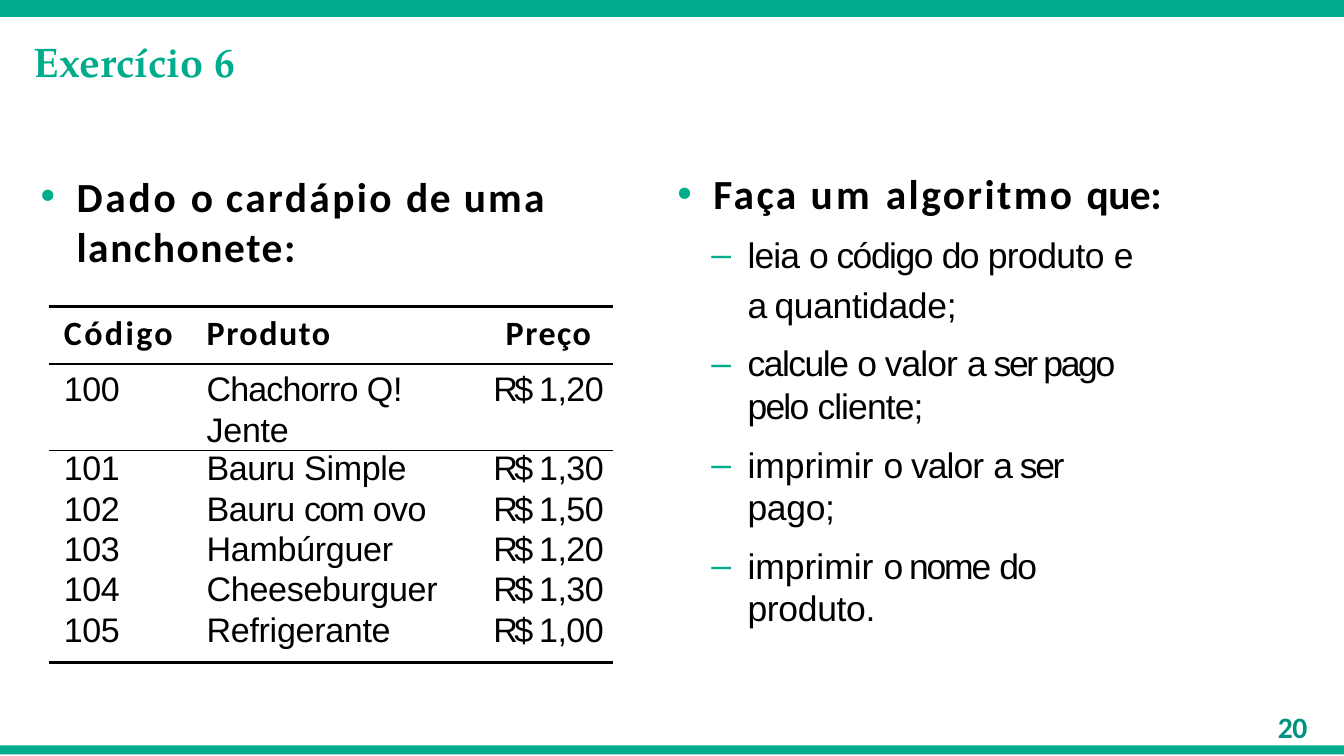
from dataclasses import dataclass
from typing import NamedTuple

from lxml import etree
from pptx import Presentation
from pptx.dml.color import RGBColor
from pptx.enum.shapes import MSO_SHAPE
from pptx.enum.text import PP_ALIGN
from pptx.oxml.ns import qn
from pptx.util import Inches, Pt

LEFT, CENTER = PP_ALIGN.LEFT, PP_ALIGN.CENTER
RECTANGLE = MSO_SHAPE.RECTANGLE
COLORS = {"green": "00AC8C", "dark green": "009380", "black": "000000"}
HEADING, BODY, TITLE = "Calibri", "Arial", "TeX Gyre Pagella"
NO_STYLE = "{2D5ABB26-0587-4C30-8999-92F81FD0307C}"
WIDTH, HEIGHT = Inches(6.31), Inches(3.55)


def cols(share: float) -> int:
    """Percent of the slide's width."""
    return round(WIDTH * share / 100)


def rows(share: float) -> int:
    """Percent of the slide's height."""
    return round(HEIGHT * share / 100)


class Area(NamedTuple):
    """Left, top, width and height in percent of the slide."""
    x: float
    y: float
    w: float
    h: float

    def emu(self) -> tuple:
        return cols(self.x), rows(self.y), cols(self.w), rows(self.h)


class Run(NamedTuple):
    text: str
    tracking: float = 0


@dataclass
class Product:
    code: str
    name: list
    price: str


@dataclass
class Task:
    runs: list
    before: float = 5.3
    spacing: float = 1.0


BANDS = [Area(0, 0, 100, 2.25), Area(0, 98.6, 100, 1.2)]
MENU_AREA = Area(3.65, 40.56, 42, 42.25)
MENU_COLS = [10.62, 21.71, 9.67]
MENU_ROWS = [7.6, 6.48] + [5.35] * 4 + [6.76]
MENU_HEADS = [Run("Código", 0.8), Run("Produto", 0.5), Run("Preço", 0.5)]
RULES = {0: (1, 0.75), 1: (0.75, 0.25), 2: (0.25, 0), 6: (0, 1)}

PROMPT = [Run("Dado ", 0.9), Run("o ", 0.6), Run("cardápio ", 0.8), Run("de ", 0.6),
          Run("uma ", 0.7), Run("lanchonete:", 0.5)]
GOAL = [Run("Faça ", 0.8), Run("um ", 1.1), Run("algoritmo ", 0.8), Run("que:", -0.2)]
MENU = [
    Product("100", [Run("Chachorro ", -0.3), Run("Q!Jente", -0.1)], "1,20"),
    Product("101", [Run("Bauru ", -0.2), Run("Simple", -0.1)], "1,30"),
    Product("102", [Run("Bauru ", -0.2), Run("com ", -0.6), Run("ovo", -0.2)], "1,50"),
    Product("103", [Run("Hambúrguer", -0.1)], "1,20"),
    Product("104", [Run("Cheeseburguer", -0.1)], "1,30"),
    Product("105", [Run("Refrigerante", -0.1)], "1,00"),
]
TASKS = [
    Task([Run("leia ", -0.3), Run("o ", -0.7), Run("código ", -0.5), Run("do ", -0.6),
          Run("produto ", -0.2), Run("e ", -1.4), Run("a ", -0.9),
          Run("quantidade;", -0.1)], 2.5, 1.18),
    Task([Run("calcule ", -0.5), Run("o ", -0.7), Run("valor ", -0.3), Run("a ", -1),
          Run("ser pago ", -0.8), Run("pelo ", -0.6), Run("cliente;", -0.3)]),
    Task([Run("imprimir "), Run("o ", -0.7), Run("valor ", -0.3), Run("a ", -1),
          Run("ser ", -0.8), Run("pago;", -0.1)], 5.4),
    Task([Run("imprimir "), Run("o nome ", -0.7), Run("do ", -0.6),
          Run("produto.", -0.1)]),
]


def write(paragraph, runs: list, *, size: float, font: str = HEADING, color: str = "black",
          bold: bool = True, align=LEFT, before: float = 0, spacing=1.0,
          margin: float = 0, hang: float = 0, right: float = 0, bullet: str = "") -> None:
    """Fill a paragraph; margin, hang and right are percent of the slide's width."""
    paragraph.alignment = align
    paragraph.line_spacing = spacing
    paragraph.space_before = Pt(before)
    props = paragraph._p.get_or_add_pPr()
    for name, share in (("marL", margin), ("marR", right), ("indent", -hang)):
        props.set(name, str(cols(share)))
    if bullet:
        tint = etree.SubElement(props, qn("a:buClr"))
        etree.SubElement(tint, qn("a:srgbClr"), val=COLORS["green"])
        etree.SubElement(props, qn("a:buFont"), typeface=BODY)
        etree.SubElement(props, qn("a:buChar"), char=bullet)
    for text, tracking in runs:
        run = paragraph.add_run()
        run.text = text
        run.font.size, run.font.name, run.font.bold = Pt(size), font, bold
        run.font.color.rgb = RGBColor.from_string(COLORS[color])
        run._r.get_or_add_rPr().set("spc", str(round(tracking * 100)))


def set_insets(holder, top: float) -> None:
    holder.margin_left = holder.margin_right = holder.margin_bottom = 0
    holder.margin_top = Inches(top)


def add_text_area(slide, area: Area, top: float = 0.02):
    frame = slide.shapes.add_textbox(*area.emu()).text_frame
    frame.word_wrap = True
    set_insets(frame, top)
    return frame


def add_band(slide, area: Area) -> None:
    band = slide.shapes.add_shape(RECTANGLE, *area.emu())
    band.shadow.inherit = False
    band.fill.solid()
    band.fill.fore_color.rgb = RGBColor.from_string(COLORS["green"])
    band.line.fill.background()


def rule_cell(cell, above: float, below: float) -> None:
    """Draw the horizontal rules of a cell, with widths in points."""
    props = cell._tc.get_or_add_tcPr()
    for side, width in (("L", 0), ("R", 0), ("T", above), ("B", below)):
        line = etree.SubElement(props, qn(f"a:ln{side}"), w=str(Pt(width)))
        if width:
            fill = etree.SubElement(line, qn("a:solidFill"))
            etree.SubElement(fill, qn("a:srgbClr"), val=COLORS["black"])
        else:
            etree.SubElement(line, qn("a:noFill"))
    cell.fill.background()


def add_menu(slide) -> None:
    menu = slide.shapes.add_table(len(MENU_ROWS), len(MENU_COLS), *MENU_AREA.emu()).table
    menu.first_row = menu.horz_banding = False
    menu._tbl.tblPr.find(qn("a:tableStyleId")).text = NO_STYLE
    for column, share in zip(menu.columns, MENU_COLS):
        column.width = cols(share)
    lines = [[[head] for head in MENU_HEADS]]
    lines += [[[Run(item.code, -0.2)], item.name, [Run("R$ ", -1.2), Run(item.price, -0.2)]]
              for item in MENU]
    head = dict(size=11.5, before=1.9)
    first = dict(size=11.5, font=BODY, bold=False, before=1.6, spacing=Pt(13.8))
    other = first | dict(before=0, spacing=Pt(12.8))
    formats = [(head, 0.03), (first, 0.02)] + [(other, 0)] * (len(MENU) - 1)
    for r, (line, (style, top)) in enumerate(zip(lines, formats)):
        menu.rows[r].height = rows(MENU_ROWS[r])
        for c, runs in enumerate(line):
            cell = menu.cell(r, c)
            set_insets(cell, top)
            place = dict(align=CENTER) if c == 2 else dict(margin=1.11)
            write(cell.text_frame.paragraphs[0], runs, **style, **place)
            rule_cell(cell, *RULES.get(r, (0, 0)))


def add_tasks(slide) -> None:
    frame = add_text_area(slide, Area(50.24, 19.44, 46.43, 47.32), top=0.1)
    write(frame.paragraphs[0], GOAL, size=14, before=7.2, margin=2.85, hang=2.69, bullet="•")
    for task in TASKS:
        write(frame.add_paragraph(), task.runs, size=12, font=BODY, bold=False,
              before=task.before, spacing=task.spacing, margin=5.39, hang=2.69,
              right=11.1, bullet="–")


def main() -> None:
    deck = Presentation()
    deck.slide_width, deck.slide_height = WIDTH, HEIGHT
    slide = deck.slides.add_slide(deck.slide_layouts[6])
    for band in BANDS:
        add_band(slide, band)
    title = add_text_area(slide, Area(1.58, 4.23, 42.16, 7.6))
    write(title.paragraphs[0], [Run("Exercício "), Run("6", -0.5)], size=14, font=TITLE,
          color="green", before=1.4, margin=0.95)
    prompt = add_text_area(slide, Area(2.85, 21.97, 38.03, 14.08))
    write(prompt.paragraphs[0], PROMPT, size=14, before=1.2, spacing=1.01,
          margin=2.85, hang=2.69, bullet="•")
    add_menu(slide)
    add_tasks(slide)
    number = add_text_area(slide, Area(94.45, 93.24, 3.8, 5.9))
    write(number.paragraphs[0], [Run("20", -0.2)], size=10, color="dark green",
          before=1.2, margin=0.63)
    deck.save("out.pptx")


if __name__ == "__main__":
    main()
